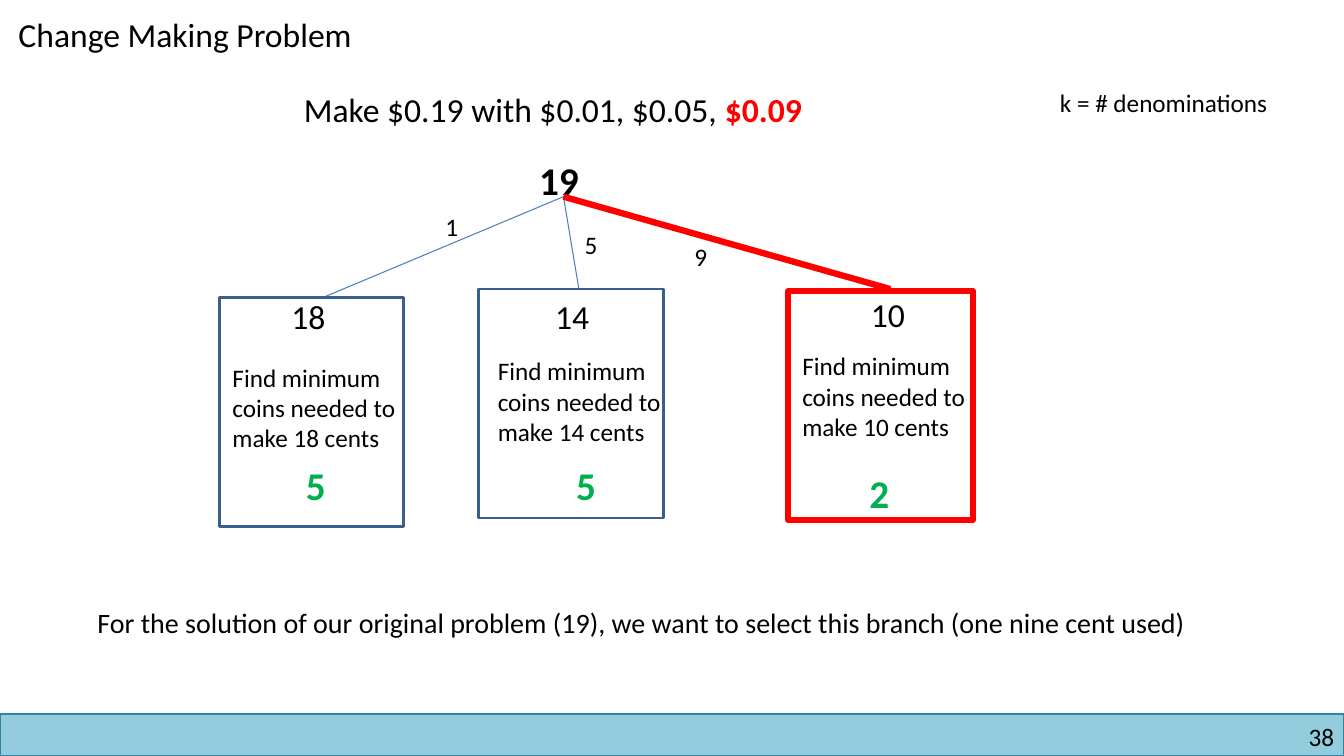
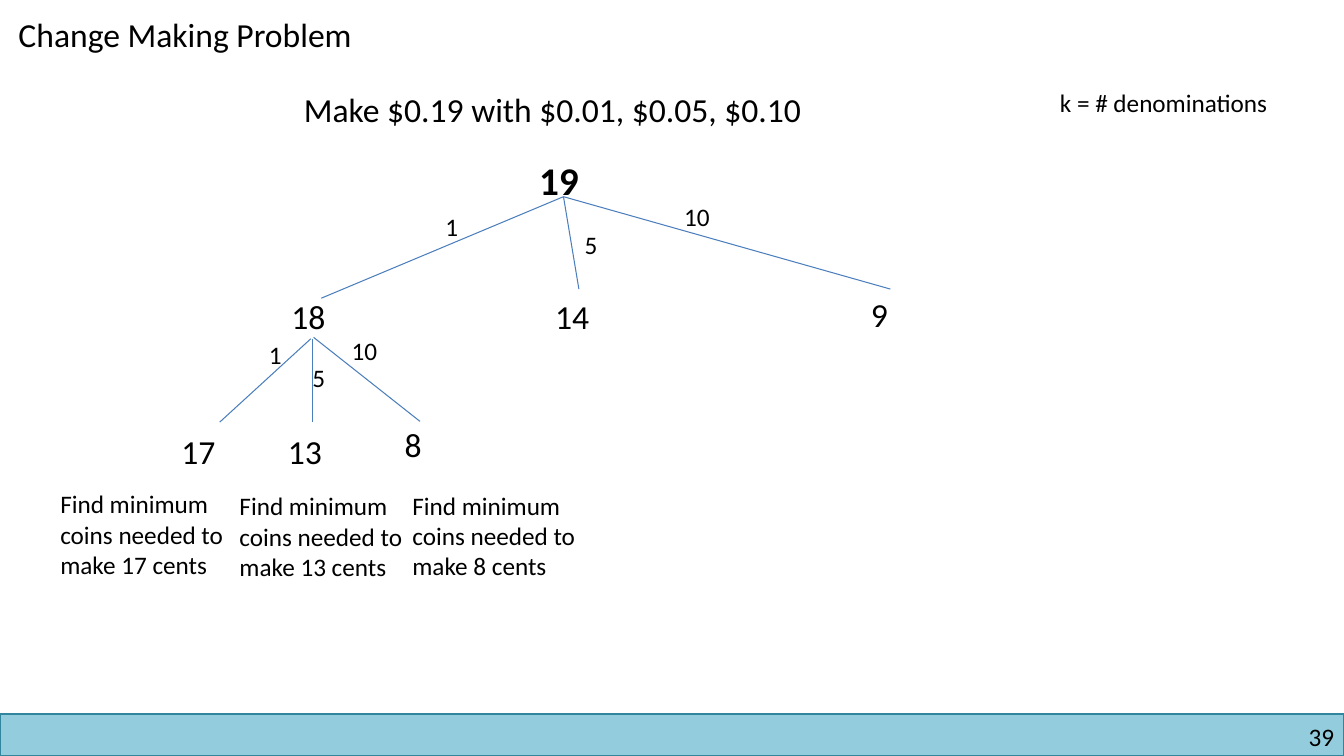
"""Build two slides on the change making problem as trees of subproblems."""
from dataclasses import dataclass

from lxml import etree
from pptx import Presentation
from pptx.dml.color import RGBColor
from pptx.enum import shapes, text
from pptx.oxml import ns
from pptx.util import Pt

WIDTH, HEIGHT = 960, 540
BAND_TOP = 510
ROOT = (402.5, 140.5)
NOTE_WIDTH = 141
CARD_WIDTH, CARD_HEIGHT = 132, 163.5
FONT = "Calibri"

BLACK = RGBColor(0x00, 0x00, 0x00)
RED = RGBColor(0xFF, 0x00, 0x00)
GREEN = RGBColor(0x00, 0xB0, 0x50)
BAND_FILL = RGBColor(0x93, 0xCD, 0xDD)
BAND_LINE = RGBColor(0x31, 0x85, 0x9C)
EDGE_BLUE = RGBColor(0x4B, 0x7E, 0xBC)
CARD_BLUE = RGBColor(0x3A, 0x5F, 0x8C)


@dataclass(frozen=True)
class Label:
    """A piece of text at a place, with an optional red ending."""
    text: str
    x: float
    y: float
    width: float
    size: float = 18
    bold: bool = False
    color: RGBColor = BLACK
    wrap: bool = False
    ending: str = ""


@dataclass(frozen=True)
class Edge:
    """A tree branch from parent to child."""
    start: tuple[float, float]
    end: tuple[float, float]
    color: RGBColor = EDGE_BLUE
    weight: float = 0.75


@dataclass(frozen=True)
class Card:
    """The frame around one subproblem."""
    x: float
    y: float
    color: RGBColor = CARD_BLUE
    weight: float = 2


def node(value: int, x: float, y: float) -> Label:
    """Return the label of a tree node."""
    return Label(str(value), x, y, 42 if value > 9 else 28, 24)


def coin(value: int, x: float, y: float) -> Label:
    """Return the label of a branch."""
    return Label(str(value), x, y, 34.5 if value > 9 else 24.5)


def note(cents: int, x: float, y: float) -> Label:
    """Return the description of a subproblem."""
    return Label(f"Find minimum coins needed to make {cents} cents",
                 x, y, NOTE_WIDTH, wrap=True)


def answer(coins: int, x: float, y: float) -> Label:
    """Return the coin count of a solved subproblem."""
    return Label(str(coins), x, y, 30, 28, True, GREEN)


def add_run(p, content: str, size: float, bold: bool, color: RGBColor) -> None:
    """Append a formatted run to a paragraph."""
    r = p.add_run()
    r.text = content
    for key, value in {"name": FONT, "size": Pt(size), "bold": bold}.items():
        setattr(r.font, key, value)
    r.font.color.rgb = color


def fill_text(sp, label: Label) -> None:
    """Place a text shape and write its label."""
    box = {"left": label.x, "top": label.y, "width": label.width,
           "height": label.size * 1.2 + 7.2}
    for key, value in box.items():
        setattr(sp, key, Pt(value))
    tf = sp.text_frame
    frame = {"word_wrap": label.wrap, "vertical_anchor": text.MSO_ANCHOR.TOP,
             "auto_size": text.MSO_AUTO_SIZE.SHAPE_TO_FIT_TEXT}
    for key, value in frame.items():
        setattr(tf, key, value)
    p = tf.paragraphs[0]
    p.alignment = text.PP_ALIGN.LEFT
    add_run(p, label.text, label.size, label.bold, label.color)
    if label.ending:
        add_run(p, label.ending, label.size, True, RED)


def add_label(slide, label: Label):
    """Add a text box for a label."""
    sp = slide.shapes.add_textbox(0, 0, 0, 0)
    fill_text(sp, label)
    return sp


def add_edge(slide, edge: Edge) -> None:
    """Add a branch line."""
    sp = slide.shapes.add_connector(
        shapes.MSO_CONNECTOR.STRAIGHT, *map(Pt, (*edge.start, *edge.end)))
    sp.line.color.rgb = edge.color
    sp.line.width = Pt(edge.weight)
    etree.SubElement(sp._element.spPr, ns.qn("a:effectLst"))


def add_rect(slide, x: float, y: float, width: float, height: float,
             color: RGBColor, weight: float):
    """Add an unfilled rectangle."""
    sp = slide.shapes.add_shape(shapes.MSO_SHAPE.RECTANGLE,
                                *map(Pt, (x, y, width, height)))
    sp.shadow.inherit = False
    sp.fill.background()
    sp.line.color.rgb = color
    sp.line.width = Pt(weight)
    return sp


def add_footer(slide, number: int) -> None:
    """Add the bottom band and the slide number."""
    band = add_rect(slide, 0, BAND_TOP, WIDTH, HEIGHT - BAND_TOP, BAND_LINE, 1)
    band.fill.solid()
    band.fill.fore_color.rgb = BAND_FILL
    sp = add_label(slide, Label(str(number), 732, 515, 221, wrap=True))
    tf = sp.text_frame
    for side in ("left", "top", "right", "bottom"):
        setattr(tf, f"margin_{side}", 0)
    tf.paragraphs[0].alignment = text.PP_ALIGN.RIGHT


def add_slide(prs, number: int, labels: list[Label], edges: list[Edge],
              cards: list[Card]) -> None:
    """Add a slide with the shared top of the tree and its own parts."""
    slide = prs.slides.add_slide(prs.slide_layouts[5])
    fill_text(slide.shapes.title, Label("Change Making Problem", 6, 6, 281.5, 24))
    add_footer(slide, number)
    shared_labels = [
        Label("19", 378, 108, 46, 28, True),
        Label("k = # denominations", 750, 59, 178),
        coin(1, 311, 147.5), coin(5, 410.5, 160.5),
        node(18, 201, 208), node(14, 389.5, 207.5),
    ]
    shared_edges = [Edge(ROOT, (229.5, 213)), Edge(ROOT, (413.5, 206.5))]
    for label in shared_labels + labels:
        add_label(slide, label)
    for edge in shared_edges + edges:
        add_edge(slide, edge)
    for card in cards:
        add_rect(slide, card.x, card.y, CARD_WIDTH, CARD_HEIGHT,
                 card.color, card.weight)


def main() -> None:
    """Build and save the presentation."""
    prs = Presentation()
    prs.slide_width, prs.slide_height = Pt(WIDTH), Pt(HEIGHT)
    last_child = (636, 206.5)
    add_slide(
        prs, 38,
        [Label("Make $0.19 with $0.01, $0.05, ", 210, 60, 420, 24, ending="$0.09"),
         coin(9, 489, 169), node(10, 615, 206.5),
         note(18, 159, 255), note(14, 348.5, 250.5), note(10, 566, 247),
         answer(5, 211.5, 326), answer(5, 404.5, 326), answer(2, 614, 332),
         Label("For the solution of our original problem (19), we want to "
               "select this branch (one nine cent used)", 62.5, 429, 855, 20)],
        [Edge(ROOT, last_child, RED, 4.5)],
        [Card(156.5, 212.5), Card(342, 206.5), Card(563, 208, RED, 4.5)])
    add_slide(
        prs, 39,
        [Label("Make $0.19 with $0.01, $0.05, $0.10", 210, 60, 407, 24),
         coin(10, 481.5, 140.5), node(9, 615, 206.5),
         coin(1, 185, 238.5), coin(5, 216, 255.5), coin(10, 244, 236),
         node(17, 122.5, 304), node(13, 198.5, 304.5), node(8, 282, 299),
         note(17, 36, 345.5), note(13, 164, 347), note(8, 287.5, 346.5)],
        [Edge(ROOT, last_child), Edge((222, 242), (157, 301.5)),
         Edge((223, 242), (223, 301.5)), Edge((224, 241), (300, 301))],
        [])
    prs.save("out.pptx")


if __name__ == "__main__":
    main()
